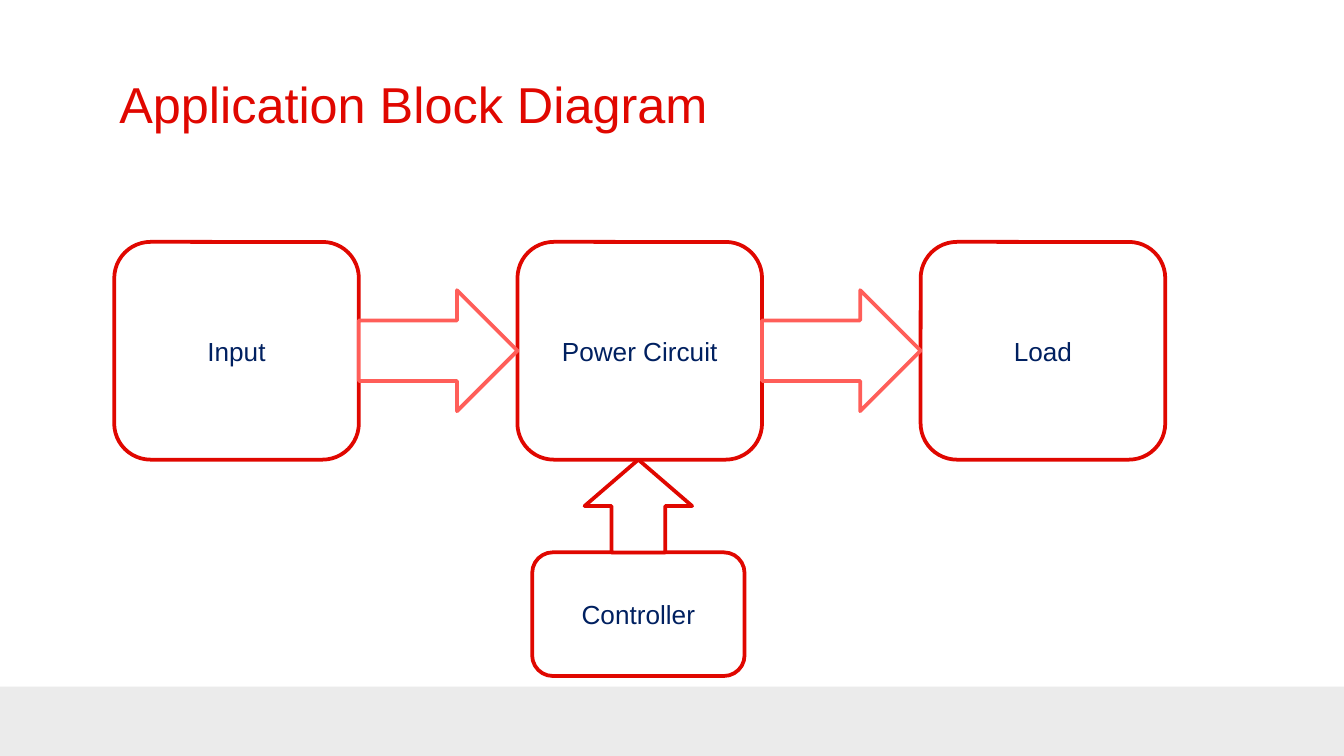
from pptx import Presentation
from pptx.dml.color import RGBColor
from pptx.enum.shapes import MSO_SHAPE
from pptx.enum.text import MSO_ANCHOR, PP_ALIGN
from pptx.util import Inches, Pt

ROUNDED = MSO_SHAPE.ROUNDED_RECTANGLE
RIGHT_ARROW = MSO_SHAPE.RIGHT_ARROW
UP_ARROW = MSO_SHAPE.UP_ARROW
RECTANGLE = MSO_SHAPE.RECTANGLE
MIDDLE = MSO_ANCHOR.MIDDLE
CENTER = PP_ALIGN.CENTER

RED = RGBColor(0xE0, 0x07, 0x00)
LIGHT_RED = RGBColor(0xFF, 0x5E, 0x59)
NAVY = RGBColor(0x00, 0x20, 0x60)
WHITE = RGBColor(0xFF, 0xFF, 0xFF)
GREY = RGBColor(0xEB, 0xEB, 0xEB)

TITLE = "Application Block Diagram"
STAGES = ["Input", "Power Circuit", "Load"]
CONTROLLER = "Controller"

SLIDE_WIDTH = 10
SLIDE_HEIGHT = SLIDE_WIDTH * 9 / 16
FOOTER_TOP = 5.11
STAGE_LEFT, STAGE_TOP = 0.85, 1.8
STAGE_WIDTH, STAGE_HEIGHT = 1.82, 1.62
STAGE_PITCH = 3
FLOW_HEIGHT = 0.9
CONTROLLER_BOX = (3.96, 4.11, 1.58, 0.92)
CONTROL_ARROW_WIDTH = 0.8


def write(shape, text, size, color):
    frame = shape.text_frame
    frame.word_wrap = True
    frame.vertical_anchor = MIDDLE
    paragraph = frame.paragraphs[0]
    paragraph.text = text
    paragraph.font.name = "Arial"
    paragraph.font.size = Pt(size)
    paragraph.font.color.rgb = color
    return paragraph


def add_shape(slide, kind, box, fill, line=None):
    shape = slide.shapes.add_shape(kind, *map(Inches, box))
    shape.shadow.inherit = False
    shape.fill.solid()
    shape.fill.fore_color.rgb = fill
    if line is None:
        shape.line.fill.background()
    else:
        shape.line.color.rgb = line
        shape.line.width = Pt(2)
    return shape


def add_block(slide, text, box):
    shape = add_shape(slide, ROUNDED, box, WHITE, RED)
    write(shape, text, 14, NAVY).alignment = CENTER


def main():
    presentation = Presentation()
    presentation.slide_width = Inches(SLIDE_WIDTH)
    presentation.slide_height = Inches(SLIDE_HEIGHT)
    slide = presentation.slides.add_slide(presentation.slide_layouts[6])

    footer_box = (0, FOOTER_TOP, SLIDE_WIDTH, SLIDE_HEIGHT - FOOTER_TOP)
    add_shape(slide, RECTANGLE, footer_box, GREY)

    title = slide.shapes.add_textbox(*map(Inches, (0.79, 0.59, 8.43, 0.35)))
    write(title, TITLE, 27, RED)

    stage_lefts = [STAGE_LEFT + i * STAGE_PITCH for i in range(len(STAGES))]
    for text, left in zip(STAGES, stage_lefts):
        add_block(slide, text, (left, STAGE_TOP, STAGE_WIDTH, STAGE_HEIGHT))
    add_block(slide, CONTROLLER, CONTROLLER_BOX)

    flow_top = STAGE_TOP + (STAGE_HEIGHT - FLOW_HEIGHT) / 2
    flow_width = STAGE_PITCH - STAGE_WIDTH
    for left in stage_lefts[:-1]:
        box = (left + STAGE_WIDTH, flow_top, flow_width, FLOW_HEIGHT)
        add_shape(slide, RIGHT_ARROW, box, WHITE, LIGHT_RED)

    left, top, width, _ = CONTROLLER_BOX
    arrow_left = left + (width - CONTROL_ARROW_WIDTH) / 2
    arrow_top = STAGE_TOP + STAGE_HEIGHT
    box = (arrow_left, arrow_top, CONTROL_ARROW_WIDTH, top - arrow_top)
    add_shape(slide, UP_ARROW, box, WHITE, RED)

    presentation.save("out.pptx")


if __name__ == "__main__":
    main()
